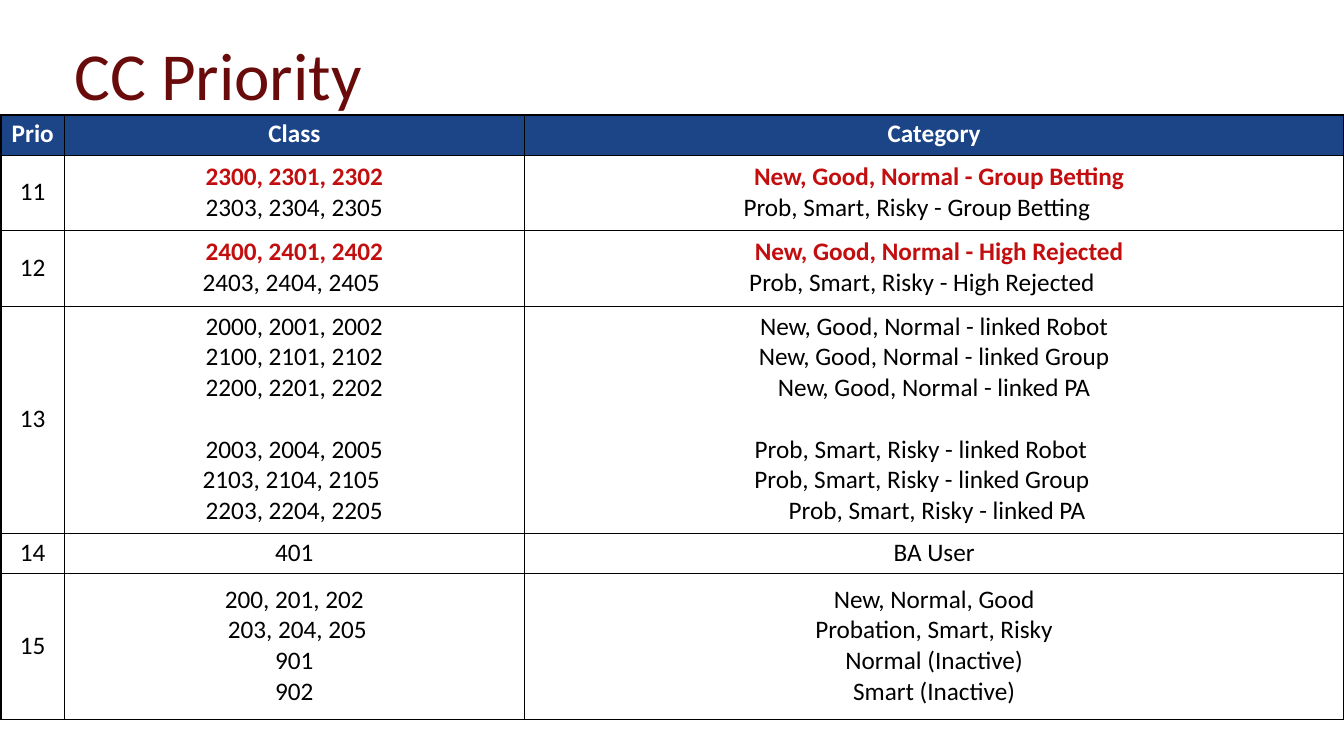
from lxml.etree import SubElement
from pptx import Presentation
from pptx.dml.color import RGBColor
from pptx.enum.text import MSO_ANCHOR, PP_ALIGN
from pptx.oxml.ns import qn
from pptx.util import Inches, Pt

FONT = "Calibri"
BLACK, WHITE, RED, MAROON, NAVY = "000000", "FFFFFF", "C20E0E", "690B0B", "1C4587"
COLUMNS = [0.63, 4.56, 8.13]
ROWS = [0.4, 0.75, 0.75, 2.25, 0.4, 1.45]
BLOCK_GAP = 22  # points between the two blocks of priority 13

# A line is (text, shift of its centre in inches, format)
HOT = dict(color=RED, bold=True)
NEXT_BLOCK = dict(before=BLOCK_GAP)
HEADER = ["Prio", "Class", "Category"]
PRIORITIES = [
    ("11",
     [("2300, 2301, 2302", 0, HOT), ("2303, 2304, 2305", 0, {})],
     [("New, Good, Normal - Group Betting", 0.05, HOT),
      ("Prob, Smart, Risky - Group Betting", -0.17, {})]),
    ("12",
     [("2400, 2401, 2402", 0, HOT), ("2403, 2404, 2405", -0.03, {})],
     [("New, Good, Normal - High Rejected", 0.05, HOT),
      ("Prob, Smart, Risky - High Rejected", -0.12, {})]),
    ("13",
     [("2000, 2001, 2002", 0, {}), ("2100, 2101, 2102", 0, {}),
      ("2200, 2201, 2202", 0, {}), ("2003, 2004, 2005", 0, NEXT_BLOCK),
      ("2103, 2104, 2105", -0.03, {}), ("2203, 2204, 2205", 0, {})],
     [("New, Good, Normal - linked Robot", 0, {}),
      ("New, Good, Normal - linked Group", 0, {}),
      ("New, Good, Normal - linked PA", 0, {}),
      ("Prob, Smart, Risky - linked Robot", -0.13, NEXT_BLOCK),
      ("Prob, Smart, Risky - linked Group", -0.12, {}),
      ("Prob, Smart, Risky - linked PA", 0.03, {})]),
    ("14", [("401", 0, {})], [("BA User", 0, {})]),
    ("15",
     [("200, 201, 202", 0, {}), ("203, 204, 205", 0.03, {}),
      ("901", 0, {}), ("902", 0, {})],
     [("New, Normal, Good", 0, {}), ("Probation, Smart, Risky", 0, {}),
      ("Normal (Inactive)", 0, {}), ("Smart (Inactive)", 0, {})]),
]


def rgb(value):
    return RGBColor.from_string(value)


def write(p, text, size=18, color=BLACK, bold=False, align=PP_ALIGN.CENTER,
          spacing=None, before=0, indent=0):
    """Write one formatted paragraph."""
    p.alignment = align
    if spacing:
        p.line_spacing = spacing
    if before:
        p.space_before = Pt(before)
    if indent:
        p._p.get_or_add_pPr().set("marL", str(Inches(indent)))
    r = p.add_run()
    r.text = text
    r.font.name, r.font.size, r.font.bold = FONT, Pt(size), bold
    r.font.color.rgb = rgb(color)


def add_borders(cell, color=BLACK, width=1):
    tc_pr = cell._tc.get_or_add_tcPr()
    for i, side in enumerate(("a:lnL", "a:lnR", "a:lnT", "a:lnB")):
        ln = SubElement(tc_pr, qn(side), w=str(Pt(width)))
        fill = SubElement(ln, qn("a:solidFill"))
        SubElement(fill, qn("a:srgbClr"), val=color)
        tc_pr.insert(i, ln)


def fill_cell(cell, lines, fill=None):
    """Centre the lines; a right inset makes room for shifts to the left."""
    room = -2 * min(0, *(shift for _, shift, _ in lines), 0)
    cell.vertical_anchor = MSO_ANCHOR.MIDDLE
    cell.margin_left = cell.margin_top = Inches(0.01)
    cell.margin_right, cell.margin_bottom = Inches(0.01 + room), Inches(0.03)
    if fill:
        cell.fill.solid()
        cell.fill.fore_color.rgb = rgb(fill)
    else:
        cell.fill.background()
    add_borders(cell)
    tf = cell.text_frame
    for i, (text, shift, style) in enumerate(lines):
        p = tf.add_paragraph() if i else tf.paragraphs[0]
        write(p, text, indent=round(room + 2 * shift, 2), **style)


def add_title(s, text, left, top, width, height):
    sp = s.shapes.title
    sp.left, sp.top, sp.width, sp.height = left, top, width, height
    tf = sp.text_frame
    tf.word_wrap = True
    tf.vertical_anchor = MSO_ANCHOR.TOP
    tf.margin_left, tf.margin_top = Inches(0.07), Inches(0.09)
    write(tf.paragraphs[0], text, size=48, color=MAROON,
          align=PP_ALIGN.LEFT, spacing=1.3)


def add_priority_table(s, left, top):
    table = s.shapes.add_table(len(ROWS), len(COLUMNS), left, top,
                               Inches(sum(COLUMNS)), Inches(sum(ROWS))).table
    table.horz_banding = False
    for column, width in zip(table.columns, COLUMNS):
        column.width = Inches(width)
    for row, height in zip(table.rows, ROWS):
        row.height = Inches(height)
    # Header row
    for cell, text in zip(table.rows[0].cells, HEADER):
        fill_cell(cell, [(text, 0, dict(color=WHITE, bold=True))], NAVY)
    # Priority rows
    for i, (prio, classes, categories) in enumerate(PRIORITIES, start=1):
        for j, lines in enumerate(([(prio, 0, {})], classes, categories)):
            fill_cell(table.cell(i, j), lines)


def main():
    prs = Presentation()
    prs.slide_width, prs.slide_height = Inches(13.33), Inches(7.5)
    w, h = prs.slide_width, prs.slide_height
    s = prs.slides.add_slide(prs.slide_layouts[5])  # title only
    add_title(s, "CC Priority", int(w * 0.05), 0, int(w * 0.95), int(h * 0.2))
    add_priority_table(s, Inches(0.01), int(h * 0.152))
    prs.save("out.pptx")


if __name__ == "__main__":
    main()
